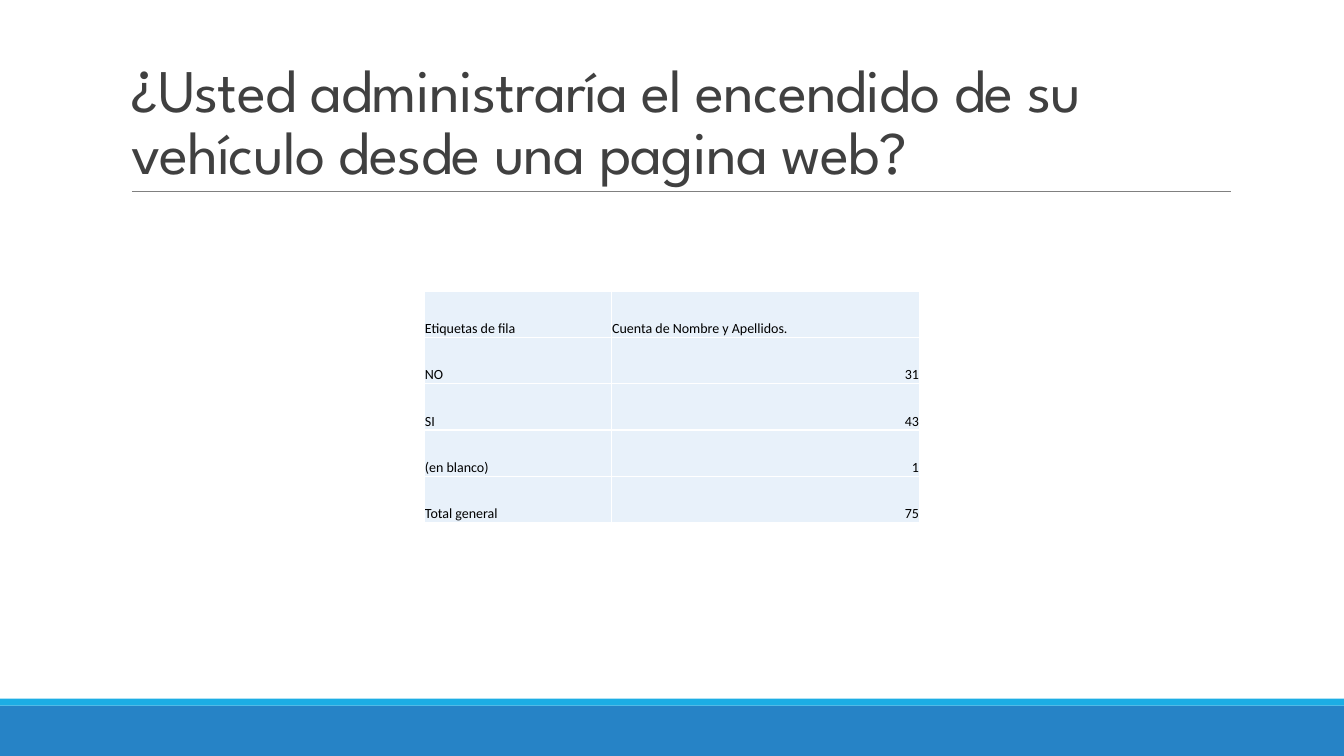
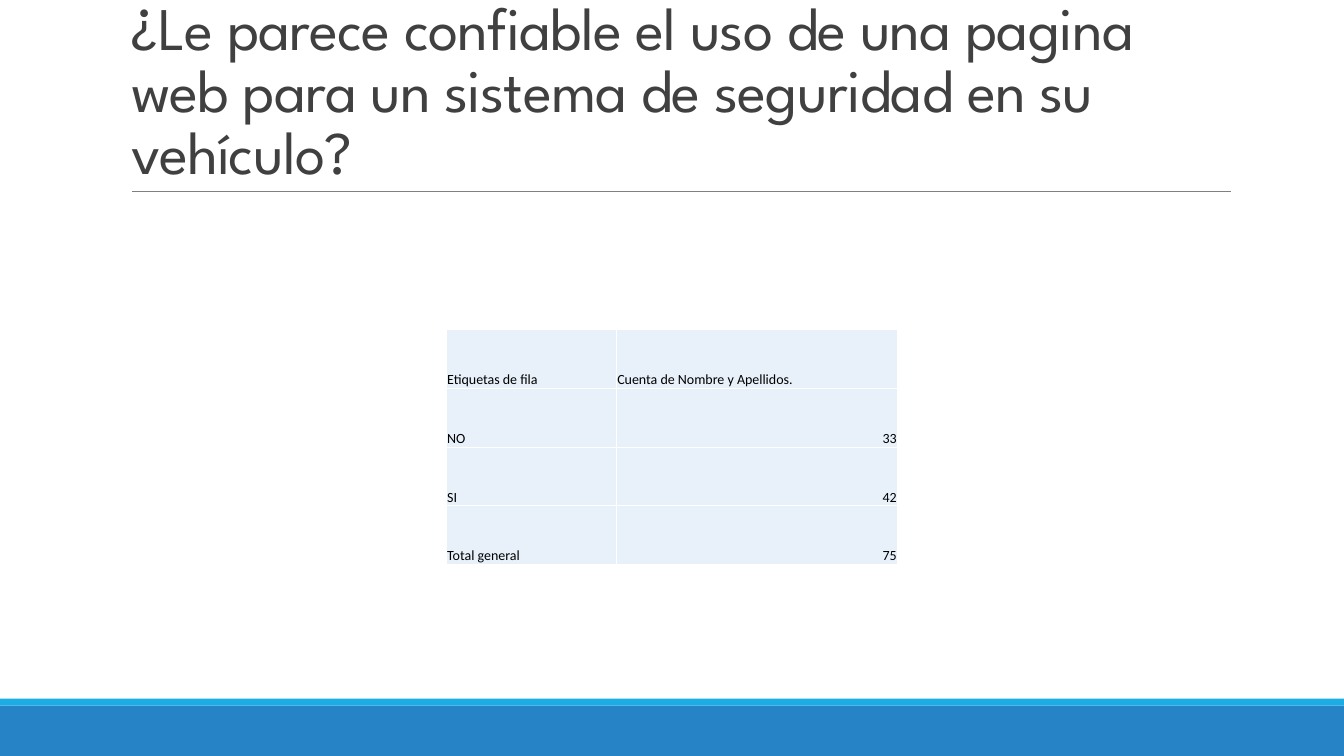
from pptx import Presentation
from pptx.dml.color import RGBColor
from pptx.enum.shapes import MSO_CONNECTOR, MSO_SHAPE
from pptx.enum.text import MSO_ANCHOR, MSO_AUTO_SIZE, PP_ALIGN
from pptx.oxml import parse_xml
from pptx.oxml.ns import nsdecls
from pptx.util import Pt
from lxml.etree import SubElement

# Content
HEADER = ("Etiquetas de fila", "Cuenta de Nombre y Apellidos.")
QUESTIONS = [
    {
        "title": "¿Usted administraría el encendido de su vehículo desde una pagina web?",
        "rows": [HEADER, ("NO", 31), ("SI", 43), ("(en blanco)", 1), ("Total general", 75)],
        "top": 208.1, "columns": (133.75, 220.5), "row_height": 33,
    },
    {
        "title": "¿Le parece confiable el uso de una pagina web para un sistema de seguridad en su vehículo?",
        "rows": [HEADER, ("NO", 33), ("SI", 42), ("Total general", 75)],
        "top": 235.6, "columns": (121.5, 201), "row_height": 41.9,
    },
]

# Shared style
WIDTH, HEIGHT = 960, 540
BLUE, CYAN, GREY, DARK = "2683C6", "1CADE4", "808080", "404040"
PALE, WHITE, BLACK = "E8F1FA", "FFFFFF", "000000"
BANDS = [(504, 36, BLUE), (499, 5, CYAN)]  # top, height, colour
RULE_LEFT, RULE_RIGHT, RULE_TOP = 94.3, 879, 136.8
TITLE_BOX = (86.4, 22.6, 792, 114.2)
TITLE_FONT, TABLE_FONT = "League Spartan", "Calibri"


def rgb(value):
    return RGBColor.from_string(value)


def write(frame, text, font, size, color, align=PP_ALIGN.LEFT, line_spacing=None, tracking=None):
    """Put one formatted paragraph into a text frame."""
    frame.word_wrap = True
    para = frame.paragraphs[0]
    para.alignment = align
    if line_spacing:
        para.line_spacing = line_spacing
    span = para.add_run()
    span.text = text
    span.font.name = font
    span.font.size = Pt(size)
    span.font.color.rgb = rgb(color)
    if tracking:
        span._r.get_or_add_rPr().set("spc", str(int(tracking * 100)))


def prepare_layout(layout, page):
    """Draw the bands and the rule on a page, then move them to its layout."""
    for holder in list(layout.placeholders):
        if holder.placeholder_format.idx:
            holder.element.getparent().remove(holder.element)
        else:
            holder.left, holder.top, holder.width, holder.height = map(Pt, TITLE_BOX)
    parts = []
    for top, height, color in BANDS:
        band = page.shapes.add_shape(MSO_SHAPE.RECTANGLE, 0, Pt(top), Pt(WIDTH), Pt(height))
        band.shadow.inherit = False
        band.fill.solid()
        band.fill.fore_color.rgb = rgb(color)
        band.line.fill.background()
        parts.append(band)
    rule = page.shapes.add_connector(
        MSO_CONNECTOR.STRAIGHT, Pt(RULE_LEFT), Pt(RULE_TOP), Pt(RULE_RIGHT), Pt(RULE_TOP))
    rule.line.color.rgb = rgb(GREY)
    rule.line.width = Pt(0.5)
    rule.element.spPr.append(parse_xml(f"<a:effectLst {nsdecls('a')}/>"))
    parts.append(rule)
    for index, part in enumerate(parts, start=2):
        layout.shapes.element.insert(index, part.element)


def add_title(page, text):
    frame = page.shapes.title.text_frame
    frame.auto_size = MSO_AUTO_SIZE.NONE
    frame.vertical_anchor = MSO_ANCHOR.BOTTOM
    write(frame, text, TITLE_FONT, 43.2, DARK, line_spacing=0.85, tracking=-0.5)


def add_borders(cell, color, width):
    properties = cell._tc.get_or_add_tcPr()
    for side in ("lnL", "lnR", "lnT", "lnB"):
        properties.append(parse_xml(
            f'<a:{side} {nsdecls("a")} w="{Pt(width)}"><a:solidFill>'
            f'<a:srgbClr val="{color}"/></a:solidFill></a:{side}>'))


def add_table(page, rows, top, columns, row_height):
    width = sum(columns)
    table = page.shapes.add_table(
        len(rows), len(columns), Pt((WIDTH - width) / 2), Pt(top),
        Pt(width), Pt(row_height * len(rows))).table
    for column, column_width in zip(table.columns, columns):
        column.width = Pt(column_width)
    for row, values in zip(table.rows, rows):
        row.height = Pt(row_height)
        for cell, value in zip(row.cells, values):
            cell.margin_left = cell.margin_right = cell.margin_top = Pt(0.7)
            cell.margin_bottom = 0
            cell.vertical_anchor = MSO_ANCHOR.BOTTOM
            add_borders(cell, WHITE, 1)
            cell.fill.solid()
            cell.fill.fore_color.rgb = rgb(PALE)
            align = PP_ALIGN.RIGHT if isinstance(value, int) else PP_ALIGN.LEFT
            write(cell.text_frame, str(value), TABLE_FONT, 10, BLACK, align=align)


def main():
    deck = Presentation()
    deck.slide_width, deck.slide_height = Pt(WIDTH), Pt(HEIGHT)
    layout = deck.slide_layouts.get_by_name("Title Only")
    for number, question in enumerate(QUESTIONS):
        page = deck.slides.add_slide(layout)
        if number == 0:
            prepare_layout(layout, page)
        add_title(page, question["title"])
        add_table(page, question["rows"], question["top"],
                  question["columns"], question["row_height"])
    deck.save("out.pptx")


if __name__ == "__main__":
    main()
